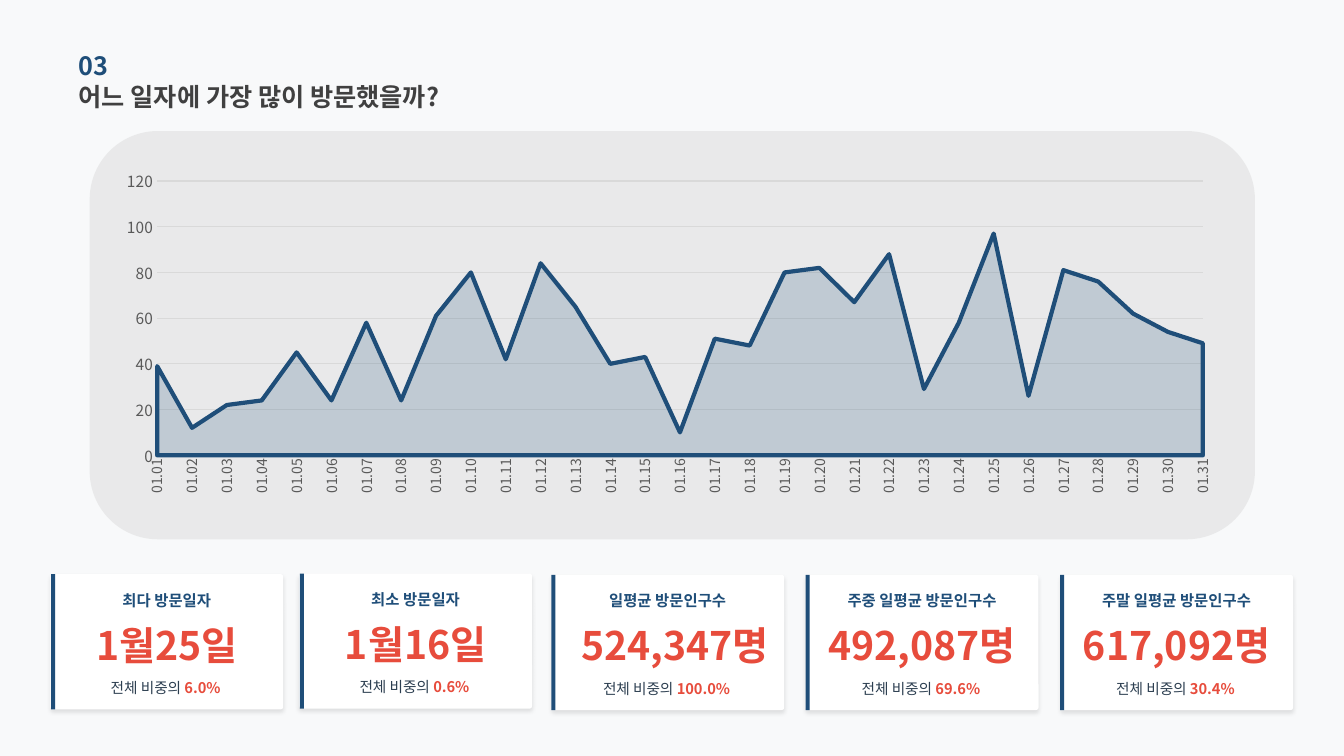
from dataclasses import dataclass

from lxml.etree import SubElement
from pptx import Presentation
from pptx.chart.data import CategoryChartData
from pptx.dml.color import RGBColor
from pptx.enum.chart import XL_CHART_TYPE, XL_TICK_MARK
from pptx.enum.shapes import MSO_SHAPE
from pptx.enum.text import MSO_ANCHOR, MSO_AUTO_SIZE, PP_ALIGN
from pptx.oxml import parse_xml
from pptx.oxml.ns import nsdecls, qn
from pptx.util import Pt

FONT = "Noto Sans CJK KR"
COLORS = {
    "background": "F8F9FA",
    "panel": "D0CECE",
    "card": "FFFFFF",
    "navy": "1F4E79",
    "red": "E74C3C",
    "heading": "404040",
    "body": "2C3E50",
    "axis": "595959",
    "grid": "D9D9D9",
}
CARD_WIDTH, CARD_HEIGHT = 166.3, 96.5
DAILY_VISITS = [
    39, 12, 22, 24, 45, 24, 58, 24, 61, 80, 42, 84, 65, 40, 43, 10,
    51, 48, 80, 82, 67, 88, 29, 58, 97, 26, 81, 76, 62, 54, 49,
]


@dataclass
class Card:
    left: float
    top: float
    label: str
    value: str
    share: str
    value_width: float
    value_shift: float = 0
    bar_shift: float = 0


CARDS = [
    Card(36, 410.2, "최다 방문일자", "1월25일", "6.0% ", 142.6, bar_shift=0.5),
    Card(213.7, 409.7, "최소 방문일자", "1월16일", "0.6% ", 142.6, bar_shift=0.5),
    Card(393.8, 410.7, "일평균 방문인구수", "524,347명", "100.0% ", 154.1, 5.2),
    Card(575.5, 410.7, "주중 일평균 방문인구수", "492,087명", "69.6% ", 177.1),
    Card(757.3, 410.7, "주말 일평균 방문인구수", "617,092명", "30.4% ", 166.3),
]


def rgb(name: str) -> RGBColor:
    return RGBColor.from_string(COLORS[name])


def set_opacity(fill_parent, percent: int) -> None:
    color = fill_parent.find(qn("a:solidFill"))[0]
    SubElement(color, qn("a:alpha")).set("val", str(percent * 1000))


def add_run(paragraph, text: str, *, size: float, color: str, bold: bool = False) -> None:
    run = paragraph.add_run()
    run.text = text
    run.font.size = Pt(size)
    run.font.bold = bold
    run.font.color.rgb = rgb(color)
    run.font.name = FONT
    SubElement(run.font._element, qn("a:ea")).set("typeface", FONT)


def write_text(slide, text: str, *, left: float, top: float, width: float, height: float,
               size: float, color: str, bold: bool = True, align=PP_ALIGN.CENTER, holder=None):
    bounds = [Pt(length) for length in (left, top, width, height)]
    if holder is None:
        holder = slide.shapes.add_textbox(*bounds)
    else:
        holder.left, holder.top, holder.width, holder.height = bounds
    frame = holder.text_frame
    frame.word_wrap = True
    frame.auto_size = MSO_AUTO_SIZE.NONE
    frame.vertical_anchor = MSO_ANCHOR.MIDDLE
    frame.margin_left = frame.margin_top = frame.margin_right = frame.margin_bottom = 0
    paragraph = frame.paragraphs[0]
    paragraph.alignment = align
    add_run(paragraph, text, size=size, color=color, bold=bold)
    return paragraph


def add_block(slide, kind, left: float, top: float, width: float, height: float, color: str):
    block = slide.shapes.add_shape(kind, Pt(left), Pt(top), Pt(width), Pt(height))
    block.shadow.inherit = False
    block.fill.solid()
    block.fill.fore_color.rgb = rgb(color)
    block.line.fill.background()
    return block


def add_card(slide, card: Card) -> None:
    base = add_block(slide, MSO_SHAPE.ROUNDED_RECTANGLE, card.left, card.top,
                     CARD_WIDTH, CARD_HEIGHT, "card")
    base.adjustments[0] = 0.018
    effects = base._element.spPr.find(qn("a:effectLst"))
    effects.append(parse_xml(
        f'<a:outerShdw {nsdecls("a")} blurRad="{Pt(3)}" dist="{Pt(2)}" dir="5400000" '
        'algn="bl" rotWithShape="0"><a:srgbClr val="000000"><a:alpha val="10000"/>'
        '</a:srgbClr></a:outerShdw>'))
    write_text(slide, card.label, left=card.left + 7.2, top=card.top + 10.5,
               width=CARD_WIDTH - 14.4, height=15.8, size=11, color="navy")
    write_text(slide, card.value,
               left=card.left + (CARD_WIDTH - card.value_width) / 2 + card.value_shift,
               top=card.top + 36.4, width=card.value_width, height=27.4, size=28, color="red")
    share = write_text(slide, "전체 비중의 ", left=card.left + 36, top=card.top + 73.4,
                       width=95, height=15.1, size=10.5, color="body", bold=False)
    add_run(share, card.share, size=10.5, color="red", bold=True)
    add_block(slide, MSO_SHAPE.RECTANGLE, card.left + card.bar_shift, card.top,
              2.9, CARD_HEIGHT, "navy")


def style_axis(axis, size: float) -> None:
    axis.major_tick_mark = axis.minor_tick_mark = XL_TICK_MARK.NONE
    font = axis.tick_labels.font
    font.size = Pt(size)
    font.name = FONT
    font.color.rgb = rgb("axis")


def add_visit_chart(slide) -> None:
    data = CategoryChartData()
    data.categories = [f"01.{day:02d}" for day in range(1, len(DAILY_VISITS) + 1)]
    data.add_series("Series 1", DAILY_VISITS)
    chart = slide.shapes.add_chart(XL_CHART_TYPE.AREA, Pt(77.8), Pt(92.9),
                                   Pt(801.4), Pt(293.8), data).chart
    chart.has_legend = False
    chart.has_title = False
    chart.font.name = FONT
    chart.font.size = Pt(10)

    days, visits = chart.category_axis, chart.value_axis
    style_axis(days, 10)
    style_axis(visits, 11)
    days.has_major_gridlines = False
    days.format.line.color.rgb = rgb("grid")
    days.format.line.width = Pt(0.75)
    days._element.find(qn("c:txPr")).find(qn("a:bodyPr")).set("rot", "-5400000")
    visits.minimum_scale, visits.maximum_scale, visits.major_unit = 0, 120, 20
    visits.format.line.fill.background()
    visits.has_major_gridlines = True
    visits.major_gridlines.format.line.color.rgb = rgb("grid")
    visits.major_gridlines.format.line.width = Pt(0.75)
    visits._element.find(qn("c:crossBetween")).set("val", "midCat")

    plot = chart.plots[0]
    plot.vary_by_categories = False
    area = plot.series[0].format
    area.fill.solid()
    area.fill.fore_color.rgb = rgb("navy")
    area.line.color.rgb = rgb("navy")
    area.line.width = Pt(3)
    set_opacity(plot.series[0]._element.spPr, 20)

    plot_area = chart._chartSpace.chart.plotArea
    for old_layout in plot_area.findall(qn("c:layout")):
        plot_area.remove(old_layout)
    plot_area.insert(0, parse_xml(
        f'<c:layout {nsdecls("c")}><c:manualLayout><c:layoutTarget val="inner"/>'
        '<c:xMode val="edge"/><c:yMode val="edge"/><c:x val="0.043"/><c:y val="0.124"/>'
        '<c:w val="0.932"/><c:h val="0.667"/></c:manualLayout></c:layout>'))


def main() -> None:
    deck = Presentation()
    deck.slide_width, deck.slide_height = Pt(960), Pt(540)
    slide = deck.slides.add_slide(deck.slide_layouts[5])
    slide.background.fill.solid()
    slide.background.fill.fore_color.rgb = rgb("background")

    panel = add_block(slide, MSO_SHAPE.ROUNDED_RECTANGLE, 64.1, 93.6, 832.3, 291.6, "panel")
    set_opacity(panel._element.spPr, 36)
    write_text(slide, "어느 일자에 가장 많이 방문했을까?", left=56.2, top=54, width=325.4,
               height=29.5, size=18, color="heading", align=PP_ALIGN.LEFT,
               holder=slide.shapes.title)
    write_text(slide, "03", left=56.2, top=31.7, width=325.4, height=29.5, size=18,
               color="navy", align=PP_ALIGN.LEFT)
    for card in CARDS:
        add_card(slide, card)
    add_visit_chart(slide)
    deck.save("out.pptx")


if __name__ == "__main__":
    main()
